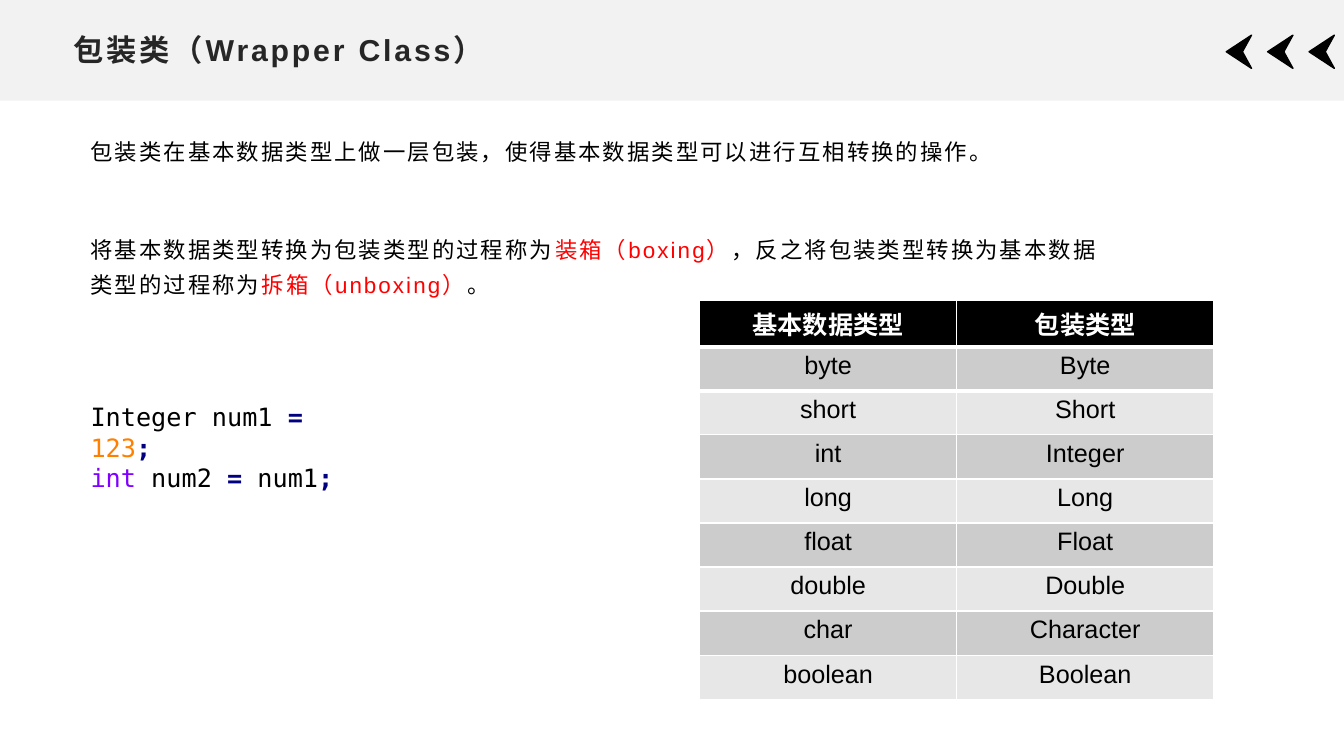
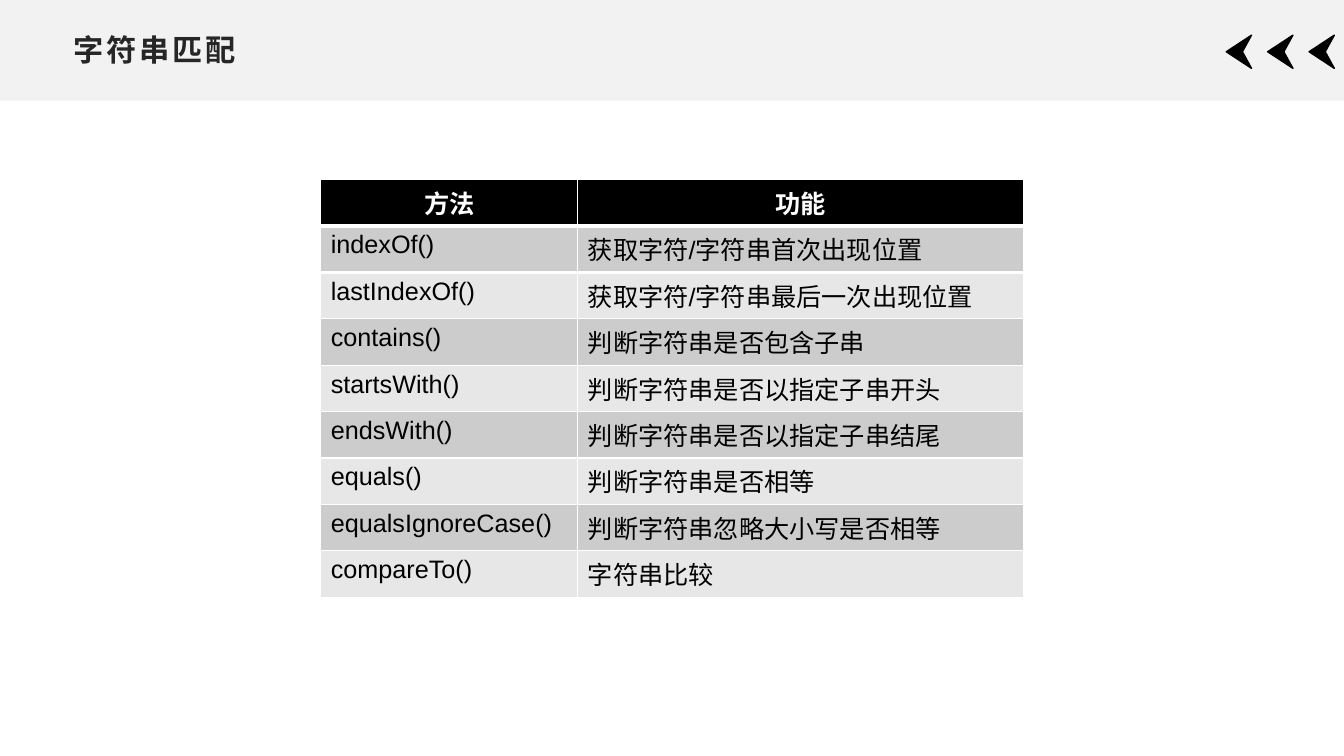
from dataclasses import dataclass

from pptx import Presentation
from pptx.dml.color import RGBColor
from pptx.enum.lang import MSO_LANGUAGE_ID
from pptx.enum.shapes import MSO_SHAPE
from pptx.enum.text import MSO_ANCHOR, PP_ALIGN
from pptx.oxml.ns import qn
from pptx.util import Inches, Pt
from lxml import etree

RECTANGLE = MSO_SHAPE.RECTANGLE
TOP, MIDDLE = MSO_ANCHOR.TOP, MSO_ANCHOR.MIDDLE
LEFT, CENTER = PP_ALIGN.LEFT, PP_ALIGN.CENTER
CHINESE = MSO_LANGUAGE_ID.SIMPLIFIED_CHINESE

WIDTH, HEIGHT = Inches(13.33), Inches(7.5)
COLUMNS = ROWS = 100
LATIN_ROW, CHINESE_ROW = 5.83, 6.14
CHINESE_MARGIN = Inches(0.11)


@dataclass(frozen=True)
class Theme:
    font: str = "Arial"
    code_font: str = "DejaVu Sans Mono"
    title_size: float = 21.6
    body_size: float = 16
    table_size: float = 18
    code_size: float = 18
    band: str = "F2F2F2"
    title: str = "262626"
    ink: str = "000000"
    paper: str = "FFFFFF"
    accent: str = "FF0000"
    operator: str = "000080"
    number: str = "FF8000"
    keyword: str = "8000FF"
    stripes: tuple = ("CCCCCC", "E7E7E7")


THEME = Theme()

BODY = [
    [("包装类在基本数据类型上做一层包装，使得基本数据类型可以进行互相转换的操作。", None)],
    [
        ("将基本数据类型转换为包装类型的过程称为", None),
        ("装箱（boxing）", THEME.accent),
        ("，反之将包装类型转换为基本数据类型的过程称为", None),
        ("拆箱（unboxing）", THEME.accent),
        ("。", None),
    ],
]

CODE = [
    [("Integer num1 ", None), ("=", THEME.operator), (" ", None),
     ("123", THEME.number), (";", THEME.operator)],
    [("int", THEME.keyword), (" num2 ", None), ("=", THEME.operator),
     (" num1", None), (";", THEME.operator)],
]

WRAPPERS = [
    ("基本数据类型", "包装类型"),
    ("byte", "Byte"),
    ("short", "Short"),
    ("int", "Integer"),
    ("long", "Long"),
    ("float", "Float"),
    ("double", "Double"),
    ("char", "Character"),
    ("boolean", "Boolean"),
]

METHODS = [
    ("方法", "功能"),
    ("indexOf()", "获取字符/字符串首次出现位置"),
    ("lastIndexOf()", "获取字符/字符串最后一次出现位置"),
    ("contains()", "判断字符串是否包含子串"),
    ("startsWith()", "判断字符串是否以指定子串开头"),
    ("endsWith()", "判断字符串是否以指定子串结尾"),
    ("equals()", "判断字符串是否相等"),
    ("equalsIgnoreCase()", "判断字符串忽略大小写是否相等"),
    ("compareTo()", "字符串比较"),
]


def across(columns):
    return round(WIDTH * columns / COLUMNS)


def down(rows):
    return round(HEIGHT * rows / ROWS)


def area(left, top, width, height):
    return across(left), down(top), across(width), down(height)


def paint(fill, color):
    fill.solid()
    fill.fore_color.rgb = RGBColor.from_string(color)


def style_font(font, name, size, color, bold=False, spacing=0):
    font.name, font.size, font.bold = name, Pt(size), bold
    font.color.rgb = RGBColor.from_string(color)
    font.language_id = CHINESE
    properties = font._rPr
    if spacing:
        properties.set("spc", str(round(spacing * 100)))
    etree.SubElement(properties, qn("a:ea")).set("typeface", name)


def add_text(page, place, lines, name, size, color, bold=False, spacing=0,
             anchor=TOP, line_spacing=None, gap=0, emphasis=()):
    frame = page.shapes.add_textbox(*area(*place)).text_frame
    frame.word_wrap = True
    frame.vertical_anchor = anchor
    for index, line in enumerate(lines):
        para = frame.add_paragraph() if index else frame.paragraphs[0]
        style_font(para.font, name, size, color, bold, spacing)
        para.line_spacing = line_spacing
        para.space_after = Pt(gap)
        for text, tint in line:
            span = para.add_run()
            span.text = text
            if tint:
                span.font.color.rgb = RGBColor.from_string(tint)
            if tint in emphasis:
                span.font.bold = True


def add_chevron(page, left, top=4.65, width=1.88, height=4.4):
    outline = [(1, 1), (0, 0.5), (1, 0), (0.64, 0.5)]
    points = [(across(left + x * width), down(top + y * height)) for x, y in outline]
    builder = page.shapes.build_freeform(*points[0])
    builder.add_line_segments(points[1:], close=True)
    chevron = builder.convert_to_shape()
    chevron.shadow.inherit = False
    paint(chevron.fill, THEME.ink)
    paint(chevron.line.fill, THEME.ink)
    chevron.line.width = Pt(1)


def add_page(deck, title):
    page = deck.slides.add_slide(deck.slide_layouts[6])
    band = page.shapes.add_shape(RECTANGLE, *area(0, 0, 100, 13.33))
    band.shadow.inherit = False
    paint(band.fill, THEME.band)
    band.line.fill.background()
    for index in range(3):
        add_chevron(page, 91.24 + index * 3.08)
    add_text(page, (4.73, 3.36, 90.55, 6.4), [[(title, None)]], THEME.font,
             THEME.title_size, THEME.title, bold=True, spacing=2, anchor=MIDDLE)
    return page


def draw_edge(cell, side, points):
    edge = etree.Element(qn(f"a:{side}"), w=str(Pt(points)))
    fill = etree.SubElement(edge, qn("a:solidFill"))
    etree.SubElement(fill, qn("a:srgbClr")).set("val", THEME.paper)
    cell._tc.get_or_add_tcPr().insert(0, edge)


def fill_cell(cell, text, row, align):
    header = row == 0
    paint(cell.fill, THEME.ink if header else THEME.stripes[(row - 1) % 2])
    if row < 2:
        draw_edge(cell, "lnB" if header else "lnT", 3)
    if not text.isascii():
        cell.margin_top = CHINESE_MARGIN
        cell.margin_bottom = 0
    cell.text = text
    para = cell.text_frame.paragraphs[0]
    para.alignment = CENTER if header else align
    style_font(para.font, THEME.font, THEME.table_size,
               THEME.paper if header else THEME.ink, bold=header)


def add_grid(page, left, top, widths, records, align):
    heights = [LATIN_ROW if "".join(record).isascii() else CHINESE_ROW
               for record in records]
    place = area(left, top, sum(widths), sum(heights))
    table = page.shapes.add_table(len(records), len(widths), *place).table
    for column, width in zip(table.columns, widths):
        column.width = across(width)
    for row, record in enumerate(records):
        table.rows[row].height = down(heights[row])
        for column, text in enumerate(record):
            fill_cell(table.cell(row, column), text, row, align)


def add_wrapper_page(deck):
    page = add_page(deck, "包装类（Wrapper Class）")
    add_text(page, (6, 16.53, 77.95, 24.5), BODY, THEME.font, THEME.body_size,
             THEME.ink, spacing=1.5, line_spacing=1.3, gap=45)
    add_grid(page, 52.05, 39.73, (19.13, 19.13), WRAPPERS, CENTER)
    add_text(page, (6, 52.47, 22.35, 9.5), CODE, THEME.code_font, THEME.code_size,
             THEME.ink, emphasis=(THEME.operator,))


def add_matching_page(deck):
    page = add_page(deck, "字符串匹配")
    widths = (19.13, 33.15)
    add_grid(page, (COLUMNS - sum(widths)) / 2, 23.76, widths, METHODS, LEFT)


def main():
    deck = Presentation()
    deck.slide_width, deck.slide_height = WIDTH, HEIGHT
    add_wrapper_page(deck)
    add_matching_page(deck)
    deck.save("out.pptx")


if __name__ == "__main__":
    main()
